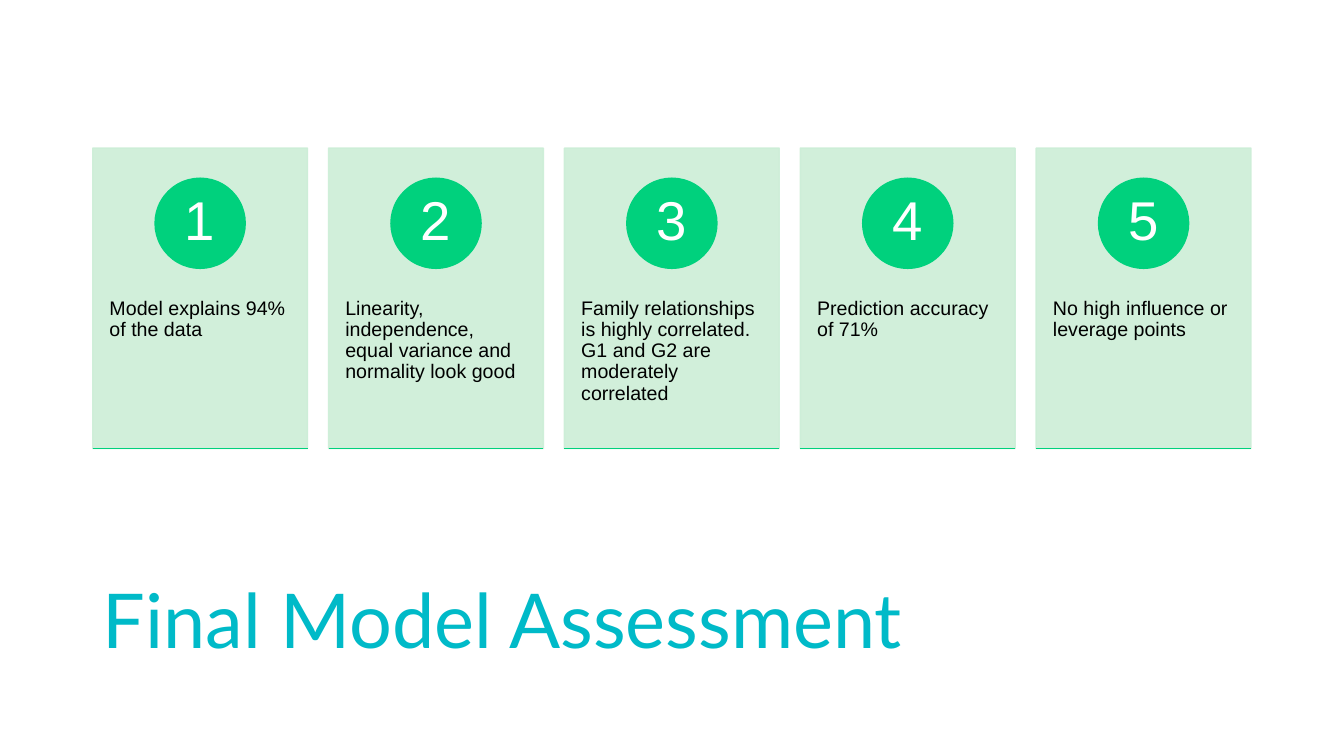
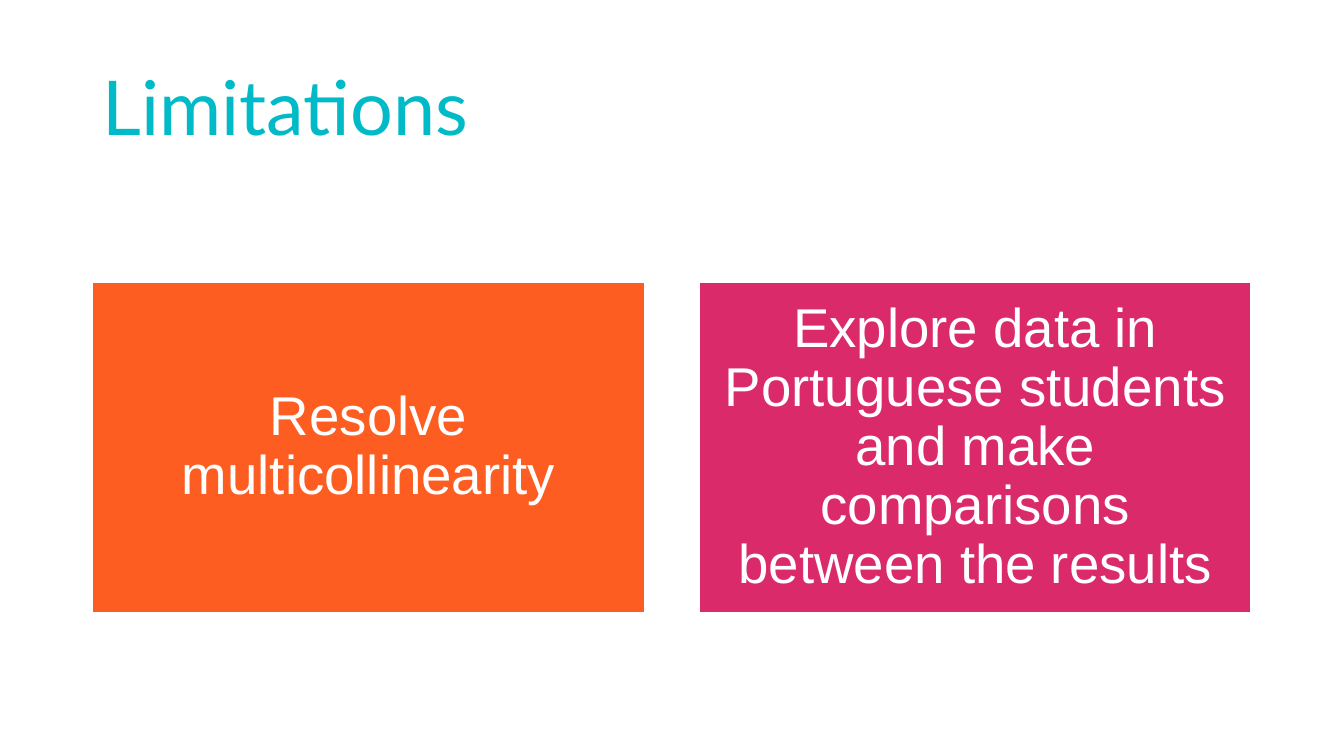
from dataclasses import dataclass

from lxml.etree import SubElement
from pptx import Presentation
from pptx.dml.color import RGBColor
from pptx.enum.shapes import MSO_CONNECTOR as Connector, MSO_SHAPE as Shape
from pptx.enum.text import MSO_ANCHOR as Anchor, PP_ALIGN as Align
from pptx.oxml.ns import qn
from pptx.util import Pt

FINDINGS_TITLE = "Final Model Assessment"
FINDINGS = [
    "Model explains 94% of the data",
    "Linearity, independence, equal variance and normality look good",
    "Family relationships is highly correlated. G1 and G2 are moderately correlated",
    "Prediction accuracy of 71%",
    "No high influence or leverage points",
]
LIMITATIONS_TITLE = "Limitations"
LIMITATIONS = [
    ("Resolve multicollinearity", "FE5D21"),
    ("Explore data in Portuguese students and make comparisons between the results", "DA2A69"),
]


@dataclass(frozen=True)
class Theme:
    title: str = "00BAC8"
    card: str = "CCEED7"
    accent: str = "00D17D"
    dark: str = "000000"
    light: str = "FFFFFF"
    title_font: str = "Lato"
    body_font: str = "Arial"
    title_size: float = 54
    large_size: float = 39
    small_size: float = 14
    card_alpha: int = 90


THEME = Theme()
SLIDE_WIDTH, SLIDE_HEIGHT = 960, 540
LEFT, CONTENT_WIDTH = 66.24, 827.4
TITLE_WIDTH, TITLE_HEIGHT = 840, 82


def columns(count, gap):
    """Return the left edges and the shared width of equal columns."""
    width = (CONTENT_WIDTH - gap * (count - 1)) / count
    return [LEFT + i * (width + gap) for i in range(count)], width


def write(holder, words, size, color, font=THEME.body_font, align=Align.LEFT,
          anchor=Anchor.MIDDLE, insets=(7.2, 3.6), spacing=0.9):
    """Set the only paragraph; insets are (sides, top and bottom)."""
    frame = holder.text_frame
    sides, ends = map(Pt, insets)
    frame_format = {"word_wrap": True, "vertical_anchor": anchor,
                    "margin_left": sides, "margin_right": sides,
                    "margin_top": ends, "margin_bottom": ends}
    for key, value in frame_format.items():
        setattr(frame, key, value)
    paragraph = frame.paragraphs[0]
    paragraph.alignment, paragraph.line_spacing = align, spacing
    run = paragraph.add_run()
    run.text = words
    for key, value in {"name": font, "size": Pt(size)}.items():
        setattr(run.font, key, value)
    run.font.color.rgb = RGBColor.from_string(color)


def add_block(slide, kind, box, fill, line, alpha=None):
    block = slide.shapes.add_shape(kind, *map(Pt, box))
    block.shadow.inherit = False
    block.fill.solid()
    block.fill.fore_color.rgb = RGBColor.from_string(fill)
    block.line.color.rgb = RGBColor.from_string(line)
    block.line.width = Pt(1)
    if alpha is not None:
        for color in block._element.spPr.iter(qn("a:srgbClr")):
            SubElement(color, qn("a:alpha"), val=str(alpha * 1000))
    return block


def add_rule(slide, left, top, width):
    rule = slide.shapes.add_connector(
        Connector.STRAIGHT, Pt(left), Pt(top), Pt(left + width), Pt(top))
    rule.line.color.rgb = RGBColor.from_string(THEME.accent)
    rule.line.width = Pt(1)
    SubElement(rule._element.spPr, qn("a:effectLst"))


def add_titled_slide(deck, title, top):
    slide = deck.slides.add_slide(deck.slide_layouts[6])
    heading = slide.shapes.add_textbox(*map(Pt, (LEFT, top, TITLE_WIDTH, TITLE_HEIGHT)))
    write(heading, title, THEME.title_size, THEME.title, font=THEME.title_font,
          anchor=Anchor.BOTTOM, spacing=1.0)
    return slide


def build_findings(deck):
    slide = add_titled_slide(deck, FINDINGS_TITLE, 395.3)
    top, height, badge_size, badge_drop = 105.8, 214.6, 64.4, 21.5
    lefts, width = columns(len(FINDINGS), 15)
    for number, (left, finding) in enumerate(zip(lefts, FINDINGS), 1):
        card = add_block(slide, Shape.RECTANGLE, (left, top, width, height),
                         THEME.card, THEME.card, THEME.card_alpha)
        write(card, finding, THEME.small_size, THEME.dark, anchor=Anchor.TOP,
              insets=(12, 0))
        card.text_frame.margin_top = Pt(107.3)
        badge_left = left + (width - badge_size) / 2
        badge = add_block(slide, Shape.OVAL,
                          (badge_left, top + badge_drop, badge_size, badge_size),
                          THEME.accent, THEME.accent)
        write(badge, str(number), THEME.large_size, THEME.light,
              align=Align.CENTER, insets=(5, 1))
        add_rule(slide, left, top + height, width)


def build_limitations(deck):
    slide = add_titled_slide(deck, LIMITATIONS_TITLE, 28.8)
    lefts, width = columns(len(LIMITATIONS), 39.4)
    for left, (limitation, color) in zip(lefts, LIMITATIONS):
        panel = add_block(slide, Shape.RECTANGLE, (left, 201.6, width, 236.3),
                          color, THEME.light)
        write(panel, limitation, THEME.large_size, THEME.light,
              align=Align.CENTER, insets=(11.7, 11.7))


def main():
    deck = Presentation()
    deck.slide_width, deck.slide_height = Pt(SLIDE_WIDTH), Pt(SLIDE_HEIGHT)
    build_findings(deck)
    build_limitations(deck)
    deck.save("out.pptx")


if __name__ == "__main__":
    main()
